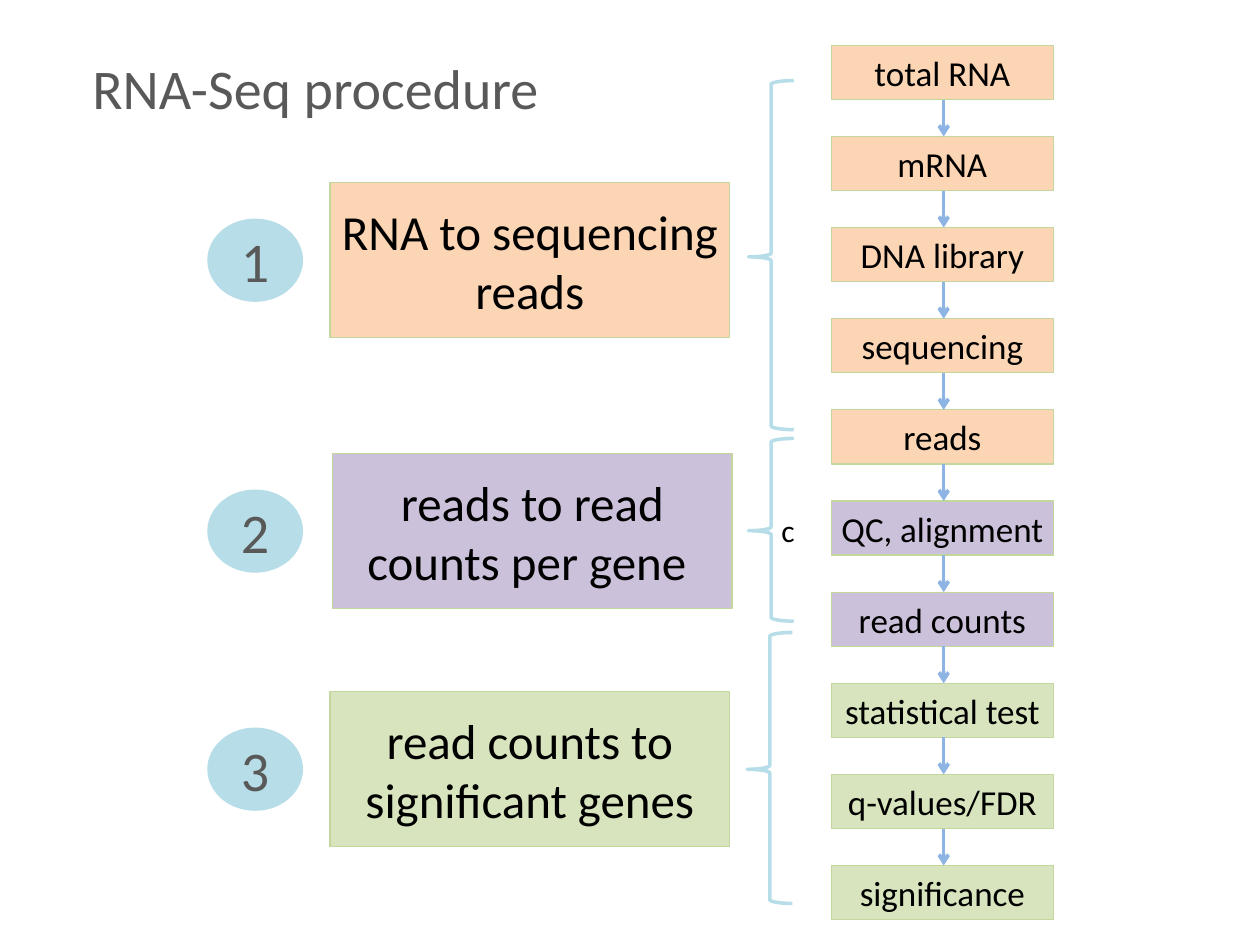
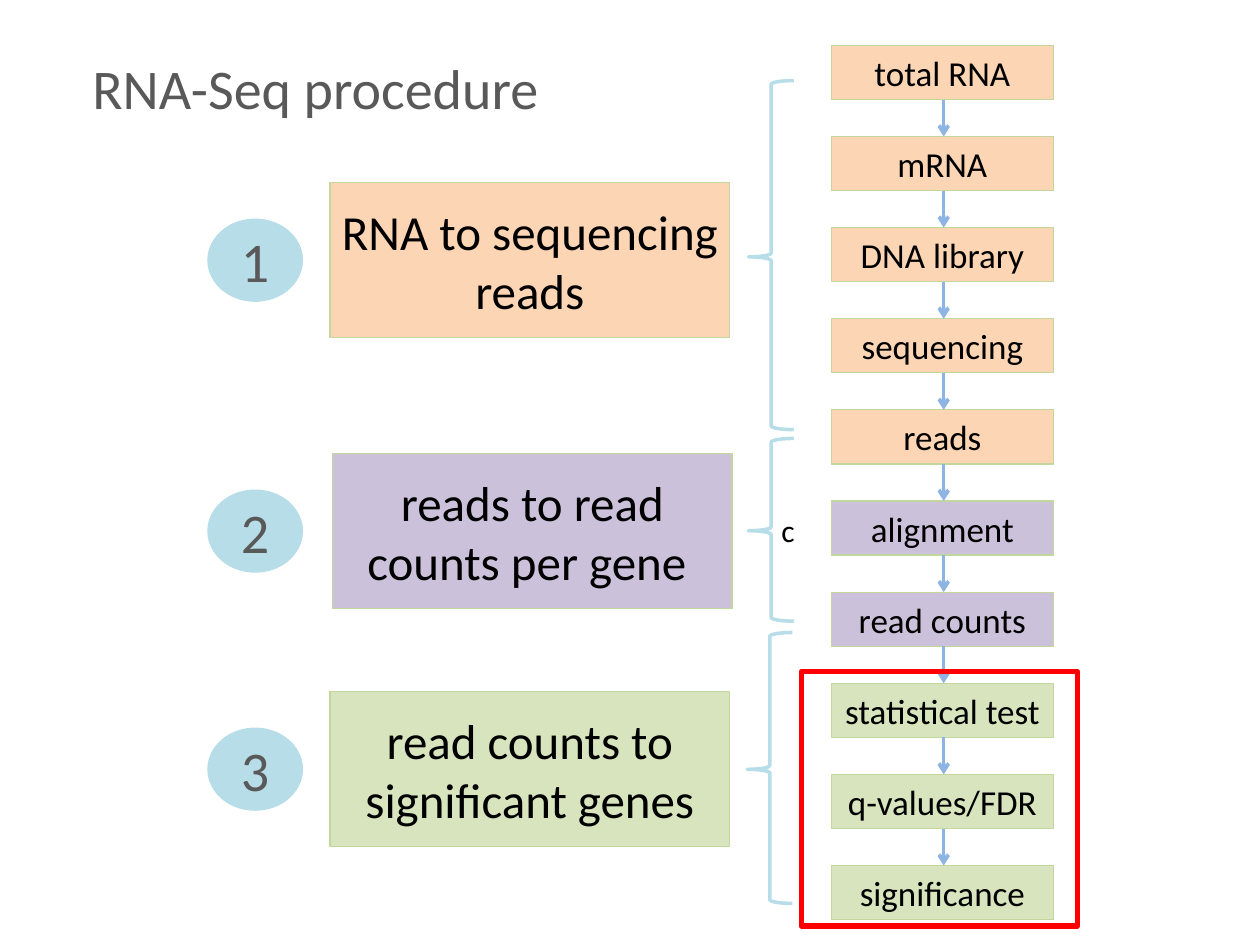
from lxml.etree import SubElement
from pptx import Presentation
from pptx.dml.color import RGBColor
from pptx.enum.shapes import MSO_CONNECTOR, MSO_SHAPE
from pptx.enum.text import MSO_ANCHOR, PP_ALIGN
from pptx.oxml.ns import qn
from pptx.util import Inches, Pt

PEACH = RGBColor(0xFC, 0xD5, 0xB5)
LILAC = RGBColor(0xCC, 0xC1, 0xDA)
GREEN = RGBColor(0xD7, 0xE4, 0xBD)
BORDER = RGBColor(0xC3, 0xD6, 0x9B)
AQUA = RGBColor(0xB7, 0xDE, 0xE8)
ARROW = RGBColor(0x8E, 0xB4, 0xE3)
GRAY = RGBColor(0x59, 0x59, 0x59)
BLACK = RGBColor(0, 0, 0)
RED = RGBColor(0xFF, 0, 0)
FONT = "Calibri"

STEP_LEFT, STEP_TOP, STEP_WIDTH, STEP_HEIGHT = 6.6, 0.36, 1.76, 0.43
LAST_STEP_TOP = 6.87
ARROW_X = 7.49
STAGE_WIDTH, STAGE_HEIGHT = 3.17, 1.23
BADGE_LEFT, BADGE_WIDTH, BADGE_HEIGHT = 1.65, 0.75, 0.65
BRACE_WIDTH = 0.36

STAGES = [
    ("RNA to sequencing reads", PEACH, 2.62, 1.45),
    ("reads to read counts per gene ", LILAC, 2.64, 3.6),
    ("read counts to significant genes", GREEN, 2.62, 5.49),
]
BRACES = [
    (5.94, 0.64, 2.77, ""),
    (5.94, 3.48, 1.45, "c"),
    (5.93, 5.02, 2.15, ""),
]


def write_text(shape, text, size, color, inset=0):
    frame = shape.text_frame
    frame.word_wrap = True
    frame.vertical_anchor = MSO_ANCHOR.MIDDLE
    frame.margin_left = frame.margin_right = Inches(inset)
    frame.margin_top = frame.margin_bottom = Inches(inset / 2)
    frame.text = text
    para = frame.paragraphs[0]
    para.alignment = PP_ALIGN.CENTER
    for span in para.runs:
        span.font.name = FONT
        span.font.size = Pt(size)
        span.font.color.rgb = color


def add_outline(page, kind, left, top, width, height, line, weight, fill=None):
    shape = page.shapes.add_shape(
        kind, Inches(left), Inches(top), Inches(width), Inches(height))
    shape.shadow.inherit = False
    if fill is None:
        shape.fill.background()
    else:
        shape.fill.solid()
        shape.fill.fore_color.rgb = fill
    shape.line.color.rgb = line
    shape.line.width = Pt(weight)
    return shape


def add_box(page, text, left, top, width, height, fill, size):
    box = add_outline(page, MSO_SHAPE.RECTANGLE, left, top, width, height,
                      BORDER, 0.75, fill)
    write_text(box, text, size, BLACK)


def add_arrow(page, top, bottom):
    arrow = page.shapes.add_connector(
        MSO_CONNECTOR.STRAIGHT, Inches(ARROW_X), Inches(top),
        Inches(ARROW_X), Inches(bottom))
    arrow.line.color.rgb = ARROW
    arrow.line.width = Pt(2)
    SubElement(arrow.line._get_or_add_ln(), qn("a:tailEnd"), type="arrow")
    SubElement(arrow._element.spPr, qn("a:effectLst"))


def add_brace(page, left, top, height, text):
    brace = add_outline(page, MSO_SHAPE.LEFT_BRACE, left, top, BRACE_WIDTH,
                        height, AQUA, 2)
    brace.adjustments[0] = 0.083
    brace.adjustments[1] = 0.505
    if text:
        write_text(brace, text, 18, BLACK, 0.1)


def add_badge(page, number, stage_top):
    top = stage_top + (STAGE_HEIGHT - BADGE_HEIGHT) / 2
    badge = add_outline(page, MSO_SHAPE.OVAL, BADGE_LEFT, top, BADGE_WIDTH,
                        BADGE_HEIGHT, AQUA, 0.75, AQUA)
    write_text(badge, str(number), 32, GRAY)


def add_title(page, text):
    title = page.shapes.add_textbox(
        Inches(0.5), Inches(0.3), Inches(4.01), Inches(0.78))
    write_text(title, text, 32, GRAY, 0.1)


def add_steps(page, steps):
    pitch = (LAST_STEP_TOP - STEP_TOP) / (len(steps) - 1)
    tops = [STEP_TOP + index * pitch for index in range(len(steps))]
    for (text, fill), top in zip(steps, tops):
        add_box(page, text, STEP_LEFT, top, STEP_WIDTH, STEP_HEIGHT, fill, 20)
    for top, next_top in zip(tops, tops[1:]):
        add_arrow(page, top + STEP_HEIGHT, next_top)


def add_procedure(deck, alignment_label):
    page = deck.slides.add_slide(deck.slide_layouts[6])
    groups = [
        (PEACH, ["total RNA", "mRNA", "DNA library", "sequencing", "reads"]),
        (LILAC, [alignment_label, "read counts"]),
        (GREEN, ["statistical test", "q-values/FDR", "significance"]),
    ]
    add_steps(page, [(text, fill) for fill, texts in groups for text in texts])
    for text, fill, left, top in STAGES:
        add_box(page, text, left, top, STAGE_WIDTH, STAGE_HEIGHT, fill, 28)
    add_title(page, "RNA-Seq procedure")
    for left, top, height, text in BRACES:
        add_brace(page, left, top, height, text)
    for number, stage in enumerate(STAGES, 1):
        add_badge(page, number, stage[3])
    return page


def main():
    deck = Presentation()
    deck.slide_width = Inches(10)
    deck.slide_height = Inches(7.5)
    add_procedure(deck, "QC, alignment")
    page = add_procedure(deck, "alignment")
    add_outline(page, MSO_SHAPE.RECTANGLE, 6.36, 5.33, 2.19, 2.02, RED, 3)
    deck.save("out.pptx")


main()
